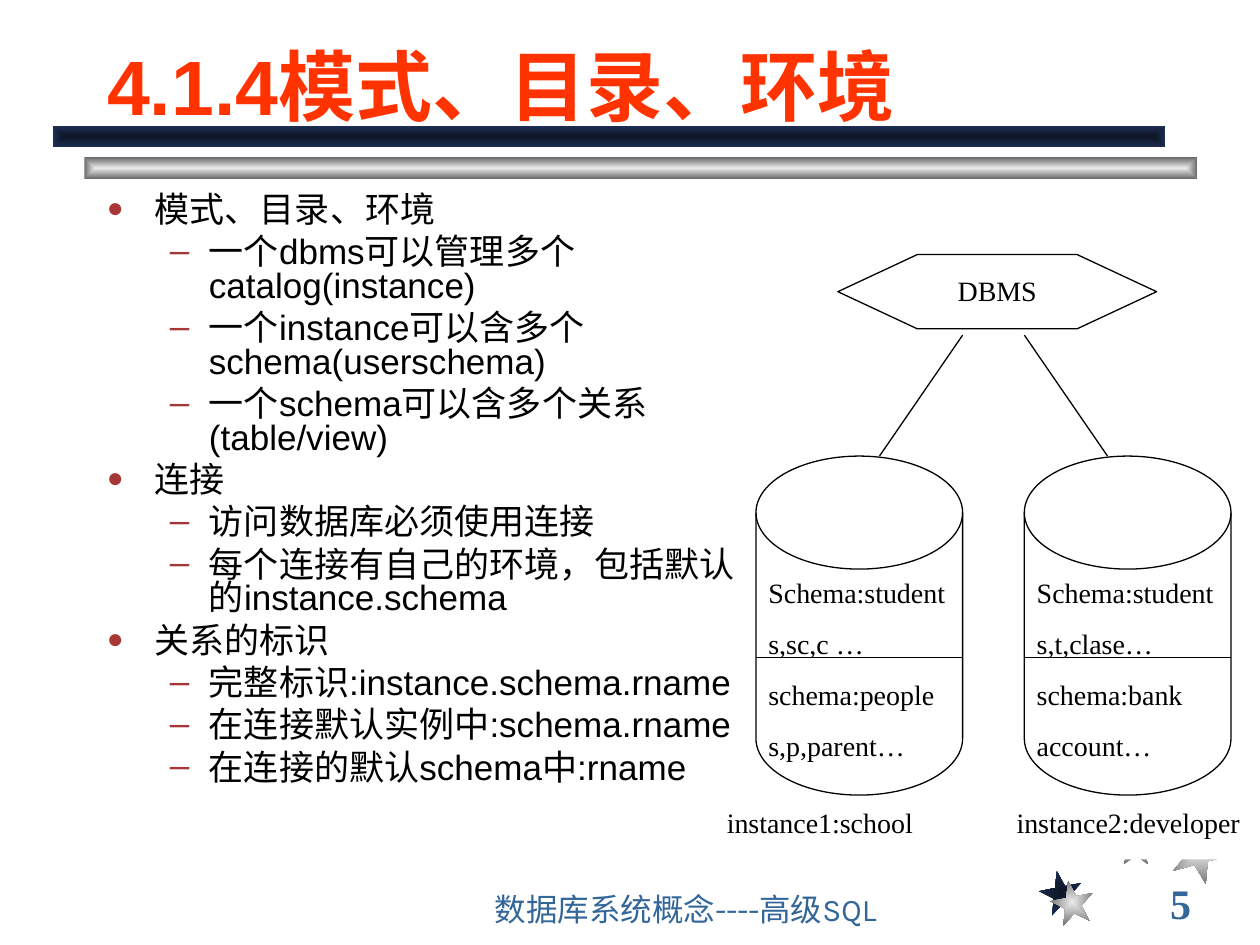
from dataclasses import dataclass

from lxml import etree
from pptx import Presentation
from pptx.dml.color import RGBColor
from pptx.enum.shapes import MSO_CONNECTOR, MSO_SHAPE
from pptx.enum.text import MSO_ANCHOR, MSO_AUTO_SIZE, PP_ALIGN
from pptx.oxml.ns import qn
from pptx.util import Inches, Pt


@dataclass(frozen=True)
class Theme:
    black: str = "000000"
    white: str = "FFFFFF"
    title: str = "FF3300"
    bullet: str = "A73737"
    footer: str = "336699"
    navy: tuple = ("0D1526", "1E2E53")
    silver: tuple = ("EAEAEA", "6B6B6B")
    sans: str = "Arial"
    serif: str = "Times New Roman"
    footer_font: str = "Karla"
    title_size: int = 44
    body_size: int = 20
    label_size: int = 16
    footer_size: int = 18
    number_size: int = 24
    line_width: float = 0.75


THEME = Theme()

STARS = [  # left, top, size, rotation, colours
    (8.25, 6.91, 0.34, 349, THEME.navy),
    (9.24, 6.42, 0.45, 22, THEME.navy),
    (8.34, 6.99, 0.34, 349, THEME.silver),
    (8.86, 6.55, 0.31, 0, THEME.silver),
    (9.30, 6.53, 0.45, 22, THEME.silver),
]

OUTLINE = [
    (0, "模式、目录、环境"),
    (1, "一个dbms可以管理多个catalog(instance)"),
    (1, "一个instance可以含多个schema(userschema)"),
    (1, "一个schema可以含多个关系(table/view)"),
    (0, "连接"),
    (1, "访问数据库必须使用连接"),
    (1, "每个连接有自己的环境，包括默认的instance.schema"),
    (0, "关系的标识"),
    (1, "完整标识:instance.schema.rname"),
    (1, "在连接默认实例中:schema.rname"),
    (1, "在连接的默认schema中:rname"),
]

LEVELS = [  # margin, hanging indent, bullet, bullet size in percent
    (0.38, 0.38, "●", 80),
    (0.81, 0.31, "–", 100),
]

INSTANCES = [  # disk left, disk text, label left, label width, label
    (6.0, ["Schema:student", "s,sc,c …", "schema:people", "s,p,parent…"],
     5.67, 2.3, "instance1:school"),
    (8.13, ["Schema:student", "s,t,clase…", "schema:bank", "account…"],
     7.97, 2.63, "instance2:developer"),
]
DISK_TOP, DISK_WIDTH, DISK_HEIGHT = 3.62, 1.64, 2.69
LINKS = [((7.64, 2.66), (6.98, DISK_TOP)), ((8.13, 2.66), (8.79, DISK_TOP))]


def rgb(colour):
    return RGBColor.from_string(colour)


def add_bullet(paragraph, level):
    margin, hanging, character, percent = LEVELS[level]
    properties = paragraph._p.get_or_add_pPr()
    properties.set("marL", str(Inches(margin)))
    properties.set("indent", str(-Inches(hanging)))
    colour = etree.SubElement(properties, qn("a:buClr"))
    etree.SubElement(colour, qn("a:srgbClr"), val=THEME.bullet)
    etree.SubElement(properties, qn("a:buSzPct"), val=str(percent * 1000))
    etree.SubElement(properties, qn("a:buFont"), typeface=THEME.sans)
    etree.SubElement(properties, qn("a:buChar"), char=character)


def write_text(shape, lines, *, size, font=THEME.serif, colour=THEME.black, bold=False,
               align=PP_ALIGN.LEFT, anchor=MSO_ANCHOR.TOP, gap=0, spacing=None, levels=None):
    frame = shape.text_frame
    frame.word_wrap = True
    frame.auto_size = MSO_AUTO_SIZE.NONE
    frame.vertical_anchor = anchor
    for index, line in enumerate(lines):
        paragraph = frame.paragraphs[0] if index == 0 else frame.add_paragraph()
        paragraph.alignment = align
        paragraph.line_spacing = spacing
        paragraph.space_before = Pt(gap if index else 0)
        if levels:
            paragraph.level = levels[index]
            add_bullet(paragraph, levels[index])
        run = paragraph.add_run()
        run.text = line
        run.font.name = font
        run.font.size = Pt(size)
        run.font.bold = bold
        run.font.color.rgb = rgb(colour)


def add_box(slide, left, top, width, height):
    return slide.shapes.add_textbox(Inches(left), Inches(top), Inches(width), Inches(height))


def add_shape(slide, kind, left, top, width, height, *, outlined=False):
    shape = slide.shapes.add_shape(kind, Inches(left), Inches(top), Inches(width), Inches(height))
    shape.shadow.inherit = False
    shape.fill.solid()
    shape.fill.fore_color.rgb = rgb(THEME.white)
    if outlined:
        shape.line.color.rgb = rgb(THEME.black)
        shape.line.width = Pt(THEME.line_width)
    else:
        shape.line.fill.background()
    return shape


def add_glow_shape(slide, kind, left, top, width, height, colours):
    """Add a shape whose gradient runs from its centre to its edges."""
    shape = add_shape(slide, kind, left, top, width, height)
    shape.fill.gradient()
    for stop, position, colour in zip(shape.fill.gradient_stops, (0, 1), colours):
        stop.position = position
        stop.color.rgb = rgb(colour)
    gradient = shape._element.spPr.find(qn("a:gradFill"))
    gradient.remove(gradient.find(qn("a:lin")))
    shading = etree.SubElement(gradient, qn("a:path"), {"path": "rect"})
    etree.SubElement(shading, qn("a:fillToRect"), dict.fromkeys("ltrb", "50000"))
    return shape


def add_line(slide, start, end):
    points = [Inches(value) for value in (*start, *end)]
    line = slide.shapes.add_connector(MSO_CONNECTOR.STRAIGHT, *points)
    line.line.color.rgb = rgb(THEME.black)
    line.line.width = Pt(THEME.line_width)
    etree.SubElement(line._element.spPr, qn("a:effectLst"))


def add_decoration(slide):
    for left, top, size, rotation, colours in STARS:
        star = add_glow_shape(slide, MSO_SHAPE.STAR_5_POINT, left, top, size, size, colours)
        star.rotation = rotation
    for left, top, colours in ((0.67, 1.25, THEME.silver), (0.42, 1, THEME.navy)):
        add_glow_shape(slide, MSO_SHAPE.RECTANGLE, left, top, 8.83, 0.17, colours)


def add_title(slide):
    title = slide.shapes.title
    title.left, title.top = Inches(0.75), Inches(0.17)
    title.width, title.height = Inches(8.5), Inches(0.92)
    write_text(title, ["4.1.4模式、目录、环境"], size=THEME.title_size, font=THEME.sans,
               colour=THEME.title, bold=True, anchor=MSO_ANCHOR.BOTTOM)


def add_outline(slide):
    levels, lines = zip(*OUTLINE)
    write_text(add_box(slide, 0.75, 1.5, 5.19, 5.33), lines, size=THEME.body_size,
               font=THEME.sans, gap=5, spacing=0.8, levels=levels)


def add_diagram(slide):
    dbms = add_shape(slide, MSO_SHAPE.HEXAGON, 6.65, 2.02, 2.53, 0.59, outlined=True)
    dbms.adjustments[0] = 1.07
    write_text(dbms, ["DBMS"], size=THEME.label_size, align=PP_ALIGN.CENTER)
    for start, end in LINKS:
        add_line(slide, start, end)
    for left, schemas, label_left, label_width, label in INSTANCES:
        disk = add_shape(slide, MSO_SHAPE.FLOWCHART_MAGNETIC_DISK, left, DISK_TOP,
                         DISK_WIDTH, DISK_HEIGHT, outlined=True)
        write_text(disk, schemas, size=THEME.label_size, align=PP_ALIGN.JUSTIFY, gap=10)
        add_line(slide, (left, 5.22), (left + DISK_WIDTH, 5.22))
        caption = add_shape(slide, MSO_SHAPE.RECTANGLE, label_left, 6.34, label_width, 0.48)
        write_text(caption, [label], size=THEME.label_size, align=PP_ALIGN.JUSTIFY)


def add_footer(slide):
    write_text(add_box(slide, 3.83, 7.08, 4.08, 0.33), ["数据库系统概念----高级SQL"],
               size=THEME.footer_size, font=THEME.footer_font, colour=THEME.footer,
               anchor=MSO_ANCHOR.BOTTOM)
    write_text(add_box(slide, 8.83, 7, 1.08, 0.33), ["5"], size=THEME.number_size,
               colour=THEME.footer, bold=True, align=PP_ALIGN.CENTER, anchor=MSO_ANCHOR.MIDDLE)


def main():
    presentation = Presentation()
    presentation.slide_width, presentation.slide_height = Inches(10), Inches(7.5)
    slide = presentation.slides.add_slide(presentation.slide_layouts[5])
    add_decoration(slide)
    add_title(slide)
    add_outline(slide)
    add_diagram(slide)
    add_footer(slide)
    presentation.save("out.pptx")


if __name__ == "__main__":
    main()
